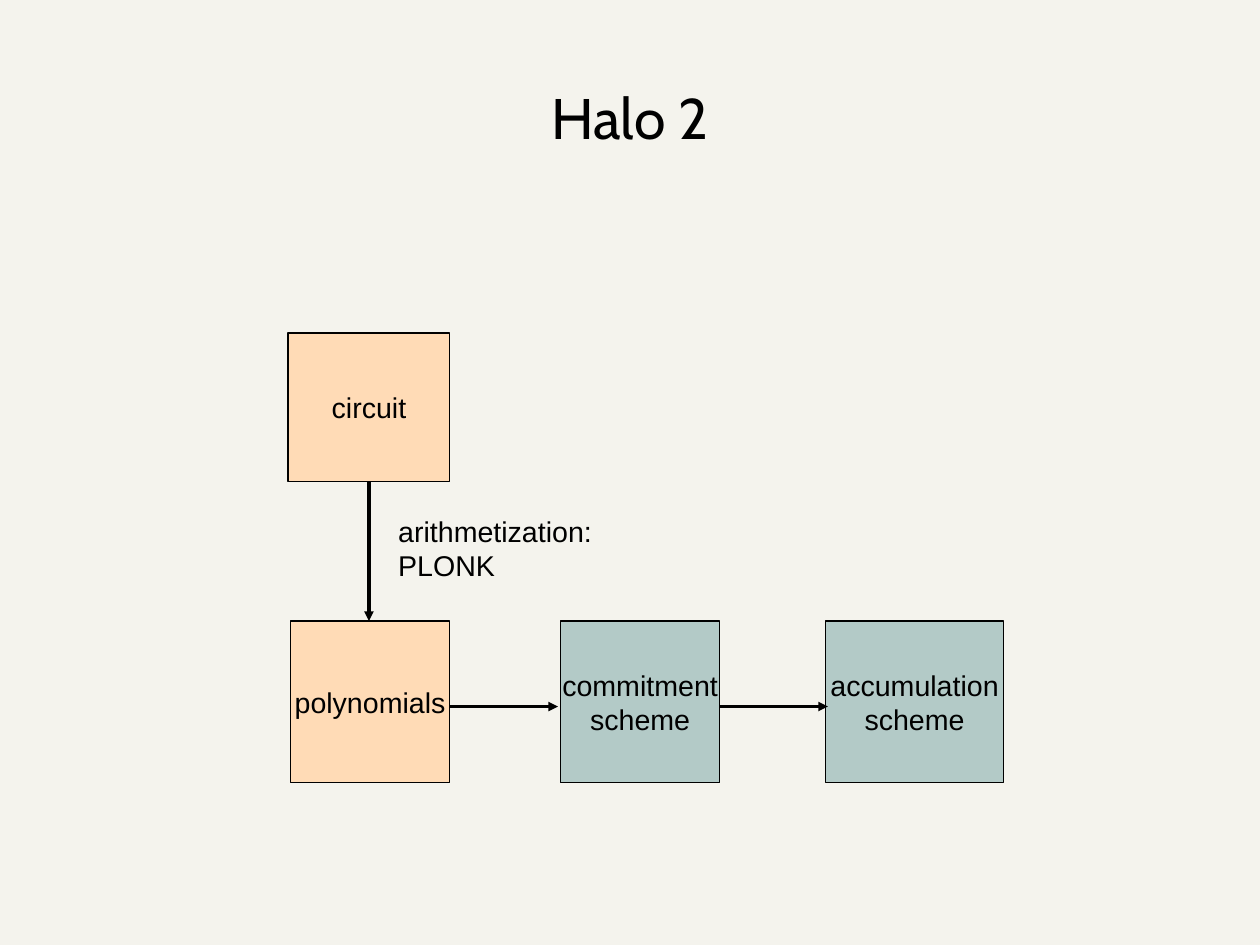
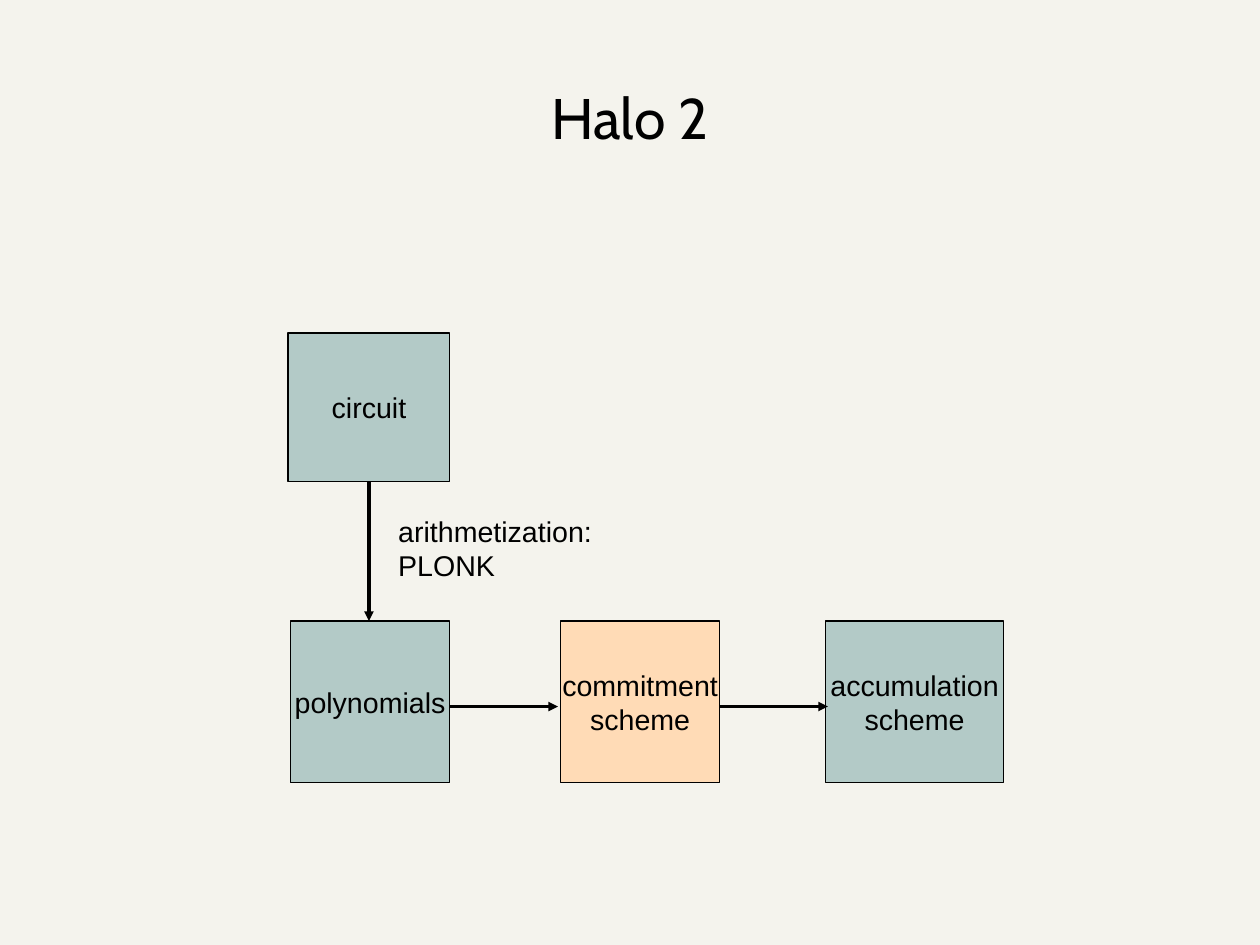
from lxml.etree import SubElement
from pptx import Presentation
from pptx.dml.color import RGBColor
from pptx.enum.shapes import MSO_CONNECTOR, MSO_SHAPE
from pptx.enum.text import MSO_ANCHOR, PP_ALIGN
from pptx.oxml.ns import qn
from pptx.util import Cm, Pt

PAPER = RGBColor(0xF4, 0xF3, 0xED)
PEACH = RGBColor(0xFF, 0xDB, 0xB6)
SAGE = RGBColor(0xB3, 0xCA, 0xC7)
BLACK = RGBColor(0, 0, 0)

ROW = 13.8
BOXES = [
    ("circuit", 6.4, 7.4, 3.6, 3.3),
    ("polynomials", 6.45, ROW, 3.55, 3.6),
    ("commitment\vscheme", 12.45, ROW, 3.55, 3.6),
    ("accumulation\vscheme", 18.35, ROW, 3.95, 3.6),
]
ARROWS = [
    (8.2, 10.7, 8.2, ROW),
    (10, 15.7, 12.4, 15.7),
    (16, 15.7, 18.4, 15.7),
]
# The boxes in focus on each slide
STEPS = [("circuit", "polynomials"), ("commitment\vscheme",)]


def write(shape, text, size=18, face="Arial", align=PP_ALIGN.CENTER,
          anchor=MSO_ANCHOR.MIDDLE, wrap=True):
    frame = shape.text_frame
    frame.word_wrap = wrap
    frame.vertical_anchor = anchor
    para = frame.paragraphs[0]
    para.text = text
    para.alignment = align
    para.font.size = Pt(size)
    para.font.name = face
    para.font.color.rgb = BLACK


def draw_arrow(slide, ends):
    line = slide.shapes.add_connector(MSO_CONNECTOR.STRAIGHT, *map(Cm, ends))
    line.line.color.rgb = BLACK
    line.line.width = Pt(0)
    SubElement(line.line._get_or_add_ln(), qn("a:tailEnd"), type="triangle")
    SubElement(line._element.spPr, qn("a:effectLst"))


deck = Presentation()
deck.slide_width, deck.slide_height = Cm(28), Cm(21)

for focus in STEPS:
    slide = deck.slides.add_slide(deck.slide_layouts[6])
    slide.background.fill.solid()
    slide.background.fill.fore_color.rgb = PAPER

    title = slide.shapes.add_textbox(Cm(1.4), Cm(0.84), Cm(25.2), Cm(3.5))
    write(title, "Halo 2", 36, "Cabin")

    for name, *place in BOXES:
        box = slide.shapes.add_shape(MSO_SHAPE.RECTANGLE, *map(Cm, place))
        box.shadow.inherit = False
        box.fill.solid()
        box.fill.fore_color.rgb = PEACH if name in focus else SAGE
        box.line.color.rgb = BLACK
        box.line.width = Pt(0)
        write(box, name, wrap=False)

    for ends in ARROWS:
        draw_arrow(slide, ends)

    label = slide.shapes.add_textbox(Cm(8.6), Cm(11.3), Cm(5), Cm(1.68))
    write(label, "arithmetization:\vPLONK", align=PP_ALIGN.LEFT,
          anchor=MSO_ANCHOR.TOP)

deck.save("out.pptx")
